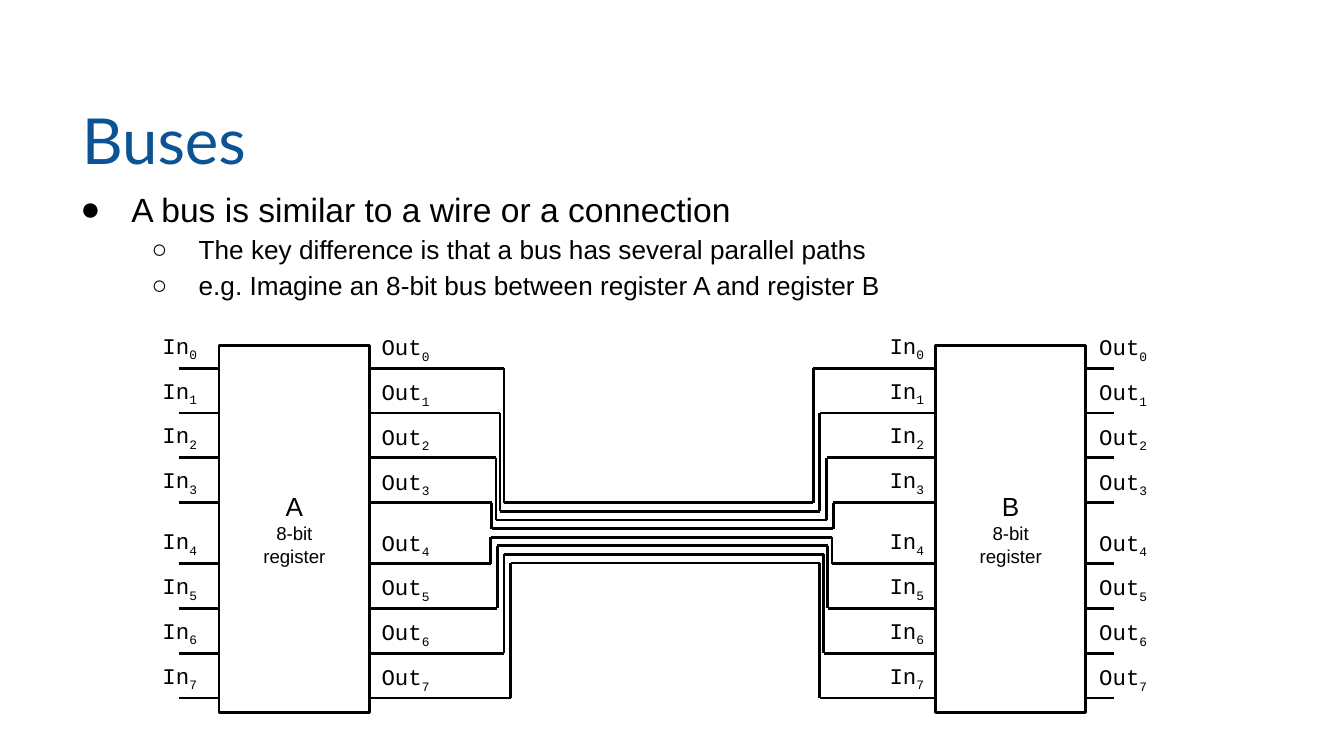
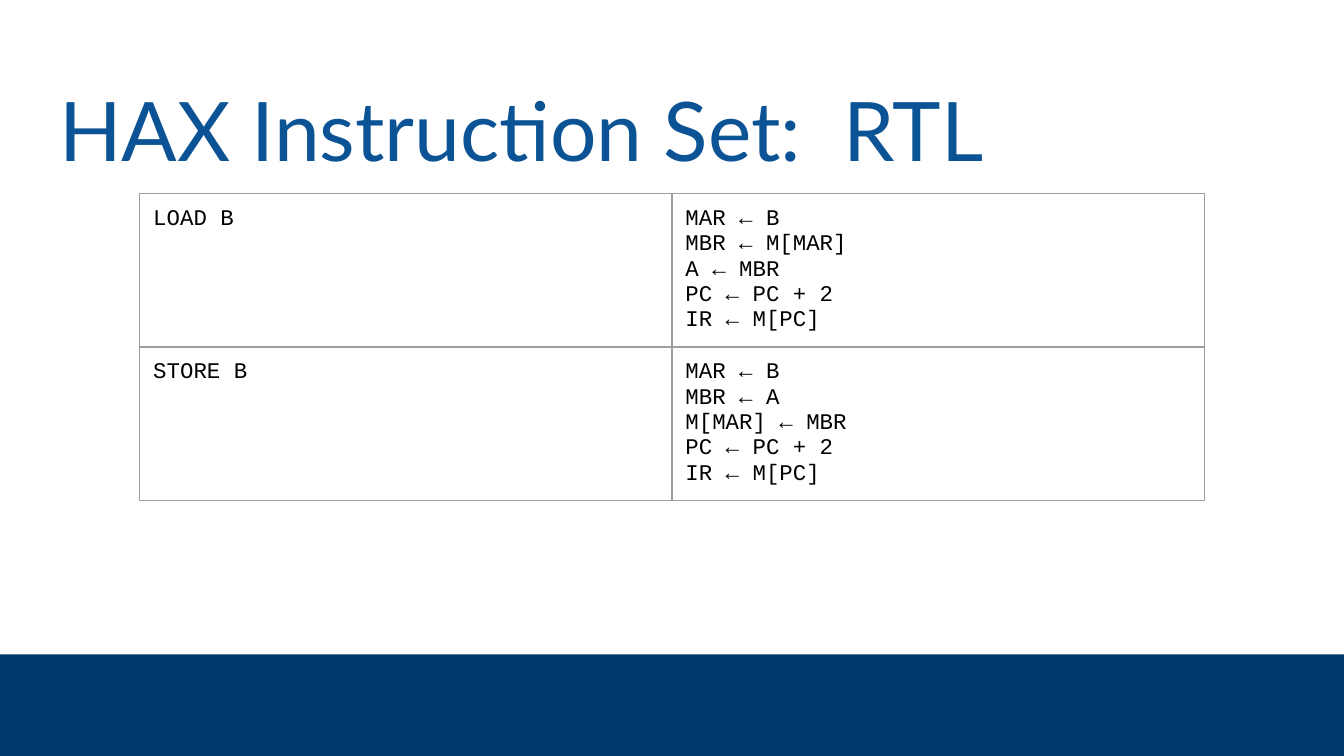
from copy import deepcopy

from lxml.etree import SubElement
from pptx import Presentation
from pptx.dml.color import RGBColor
from pptx.enum.shapes import MSO_CONNECTOR, MSO_SHAPE
from pptx.enum.text import MSO_ANCHOR, MSO_AUTO_SIZE, PP_ALIGN
from pptx.oxml.ns import qn
from pptx.util import Inches, Pt

BLACK = "000000"
WHITE = "FFFFFF"
TITLE_BLUE = "0B5394"
BAND_BLUE = "00396E"
GRID_GRAY = "9E9E9E"

TITLE_FONT = "Lato"
BODY_FONT = "Arial"
CODE_FONT = "Courier New"

BIT_COUNT = 8
FIRST_PIN_TOP = 2.74
PIN_LENGTH = 0.51
STUB_LENGTH = 0.84

# name, register left, In label left, In pin left, Out pin left, Out label left
REGISTERS = [
    ("A", 1.63, 1.11, 1.33, 2.45, 2.74),
    ("B", 6.96, 6.52, 6.75, 7.78, 8.08),
]

BUS_POINTS = [
    (0, "A bus is similar to a wire or a connection"),
    (1, "The key difference is that a bus has several parallel paths"),
    (1, "e.g. Imagine an 8-bit bus between register A and register B"),
]
# level: bullet, left margin, first-line indent, text size
BULLET_STYLES = {0: ("●", 0.5, -0.38, 18), 1: ("○", 1, -0.35, 14)}

INSTRUCTIONS = [
    ("LOAD B", "MAR ← B\nMBR ← M[MAR]\nA ← MBR\nPC ← PC + 2\nIR ← M[PC]"),
    ("STORE B", "MAR ← B\nMBR ← A\nM[MAR] ← MBR\nPC ← PC + 2\nIR ← M[PC]"),
]


def color(value):
    return RGBColor.from_string(value)


def format_para(para, font_name, size, text_color=BLACK):
    for span in para.runs:
        span.font.name = font_name
        span.font.size = Pt(size)
        span.font.color.rgb = color(text_color)


def set_margins(frame):
    frame.margin_left = frame.margin_right = Inches(0.1)
    frame.margin_top = frame.margin_bottom = Inches(0.1)
    frame.word_wrap = True


def add_text_box(page, left, top, width, height):
    box = page.shapes.add_textbox(
        Inches(left), Inches(top), Inches(width), Inches(height))
    set_margins(box.text_frame)
    return box.text_frame


def add_rectangle(page, left, top, width, height, fill, line, line_width):
    shape = page.shapes.add_shape(
        MSO_SHAPE.RECTANGLE,
        Inches(left), Inches(top), Inches(width), Inches(height))
    shape.shadow.inherit = False
    shape.fill.solid()
    shape.fill.fore_color.rgb = color(fill)
    shape.line.color.rgb = color(line)
    shape.line.width = Pt(line_width)
    return shape


def add_line(page, start, end):
    line = page.shapes.add_connector(
        MSO_CONNECTOR.STRAIGHT,
        Inches(start[0]), Inches(start[1]), Inches(end[0]), Inches(end[1]))
    line.line.color.rgb = color(BLACK)
    line.line.width = Pt(1.5)
    SubElement(line._element.spPr, qn("a:effectLst"))


def add_page(deck, layout, title, left, top, size):
    page = deck.slides.add_slide(layout)
    holder = page.shapes.title
    holder.left, holder.top = Inches(left), Inches(top)
    holder.width, holder.height = Inches(9.32), Inches(0.63)
    frame = holder.text_frame
    set_margins(frame)
    frame.auto_size = MSO_AUTO_SIZE.NONE
    frame.vertical_anchor = MSO_ANCHOR.TOP
    frame.text = title
    para = frame.paragraphs[0]
    para.alignment = PP_ALIGN.LEFT
    format_para(para, TITLE_FONT, size, TITLE_BLUE)
    return page


def move_band_to_layout(page, layout):
    """Draw the footer band and make it part of the shared layout."""
    band = add_rectangle(page, 0, 4.87, 10, 0.76, BAND_BLUE, BAND_BLUE, 0.75)
    band.line.fill.background()
    layout.shapes.element.insert(2, band._element)


def add_bullets(page, points):
    frame = add_text_box(page, 0.38, 1.26, 8.69, 1.31)
    frame.text = "\n".join(text for _, text in points)
    for para, (level, _) in zip(frame.paragraphs, points):
        bullet, margin, indent, size = BULLET_STYLES[level]
        para.level = level
        para.line_spacing = 1.15
        props = para._p.get_or_add_pPr()
        props.set("marL", str(Inches(margin)))
        props.set("indent", str(Inches(indent)))
        bullet_color = SubElement(props, qn("a:buClr"))
        SubElement(bullet_color, qn("a:srgbClr"), val=BLACK)
        SubElement(props, qn("a:buFont"), typeface=BODY_FONT)
        SubElement(props, qn("a:buChar"), char=bullet)
        format_para(para, BODY_FONT, size)


def add_pin_label(page, left, top, width, name, bit):
    para = add_text_box(page, left, top, width, 0.51).paragraphs[0]
    para.text = name
    subscript = para.add_run()
    subscript.text = str(bit)
    format_para(para, CODE_FONT, 12)
    subscript.font._element.set("baseline", "-25000")


def pin_top(bit):
    """Pins are evenly spaced, with a wider gap between the two halves."""
    return FIRST_PIN_TOP + bit / 3 + (0.12 if bit >= 4 else 0)


def add_register(page, name, left, in_label, in_pin, out_pin, out_label):
    for bit in range(BIT_COUNT):
        top = pin_top(bit)
        for pin in (in_pin, out_pin):
            add_line(page, (pin, top), (pin + PIN_LENGTH, top))
        add_pin_label(page, in_label, top - 0.37, 0.48, "In", bit)
        add_pin_label(page, out_label, top - 0.36, 0.61, "Out", bit)

    block = add_rectangle(page, left, 2.57, 1.12, 2.73, WHITE, BLACK, 1.5)
    frame = block.text_frame
    set_margins(frame)
    frame.vertical_anchor = MSO_ANCHOR.MIDDLE
    frame.text = name
    caption = frame.add_paragraph()
    caption.text = "8-bit\vregister"
    for para, size in zip(frame.paragraphs, (14, 10)):
        para.alignment = PP_ALIGN.CENTER
        format_para(para, BODY_FONT, size)
    line_break = caption._p.find(qn("a:br"))
    line_break.append(deepcopy(caption.runs[0].font._element))


def add_bus_wire(page, bit):
    """Join Out of register A to In of register B through a central lane."""
    if bit < 4:
        left, right = 3.75 - 0.03 * bit, 6.05 + 0.05 * bit
    else:
        left, right = 3.65 + 0.05 * (bit - 4), 6.19 - 0.03 * (bit - 4)
    top = pin_top(bit)
    lane = 3.74 + 0.45 * bit / (BIT_COUNT - 1)
    corners = [
        (left - STUB_LENGTH, top), (left, top), (left, lane),
        (right, lane), (right, top), (right + STUB_LENGTH, top),
    ]
    for start, end in zip(corners, corners[1:]):
        add_line(page, start, end)


def set_cell_borders(cell):
    props = cell._tc.get_or_add_tcPr()
    for side in ("a:lnL", "a:lnR", "a:lnT", "a:lnB"):
        border = SubElement(props, qn(side), w=str(Pt(0.75)))
        fill = SubElement(border, qn("a:solidFill"))
        SubElement(fill, qn("a:srgbClr"), val=GRID_GRAY)


def add_instruction_table(page, rows):
    table = page.shapes.add_table(
        len(rows), 2,
        Inches(1.04), Inches(1.44), Inches(7.92), Inches(2.28)).table
    table.first_row = False
    table.horz_banding = False
    for row_index, texts in enumerate(rows):
        for column_index, text in enumerate(texts):
            cell = table.cell(row_index, column_index)
            cell.margin_left = cell.margin_right = Inches(0.1)
            cell.margin_top = cell.margin_bottom = Inches(0.1)
            set_cell_borders(cell)
            cell.fill.background()
            cell.text_frame.text = text
            for para in cell.text_frame.paragraphs:
                format_para(para, CODE_FONT, 12)


def main():
    deck = Presentation()
    deck.slide_width, deck.slide_height = Inches(10), Inches(10 * 9 / 16)
    layout = deck.slide_layouts[5]

    buses = add_page(deck, layout, "Buses", 0.51, 0.65, 34)
    move_band_to_layout(buses, layout)
    add_rectangle(buses, -0.03, 4.85, 10.09, 0.84, WHITE, WHITE, 0.75)
    add_bullets(buses, BUS_POINTS)
    for bit in range(BIT_COUNT):
        add_bus_wire(buses, bit)
    for register in REGISTERS:
        add_register(buses, *register)

    instructions = add_page(
        deck, layout, "HAX Instruction Set:  RTL", 0.34, 0.49, 44)
    add_instruction_table(instructions, INSTRUCTIONS)

    deck.save("out.pptx")


if __name__ == "__main__":
    main()
